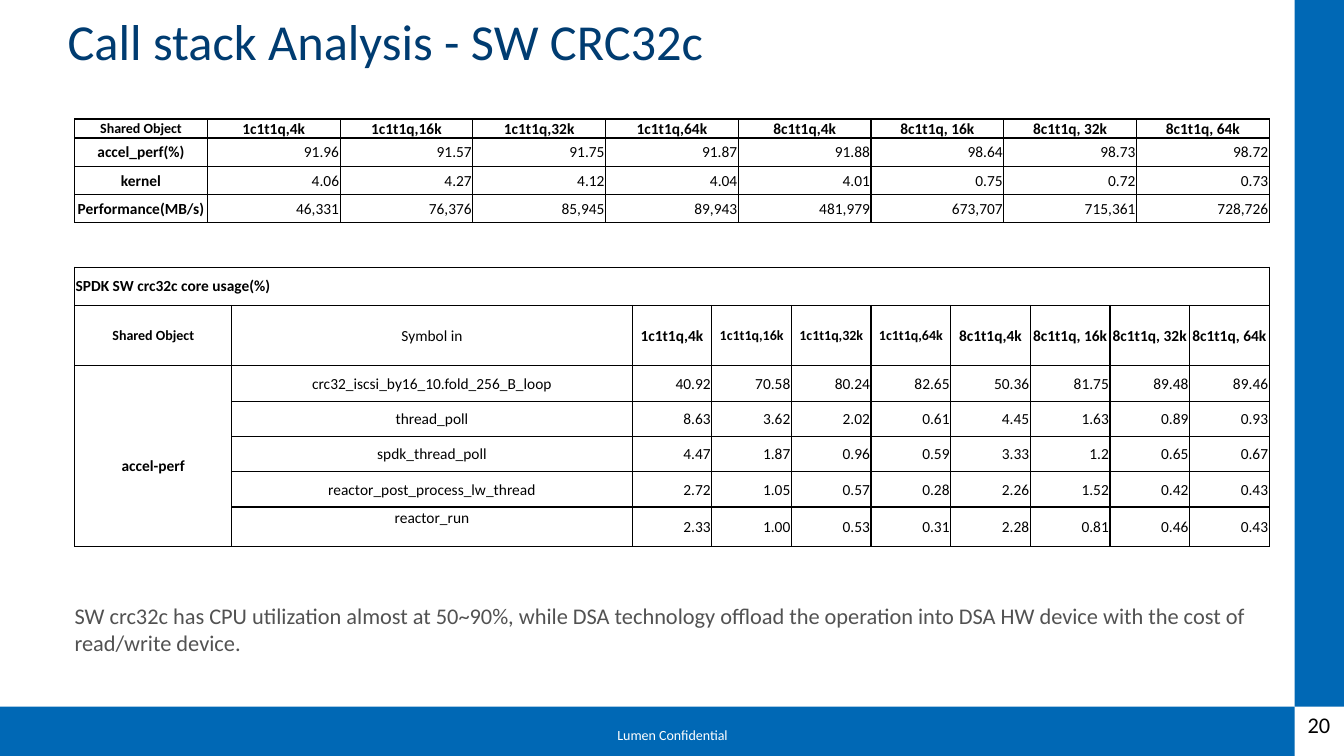
from lxml.etree import SubElement
from pptx import Presentation
from pptx.dml.color import RGBColor
from pptx.enum.shapes import MSO_SHAPE as Shape
from pptx.enum.text import MSO_ANCHOR as Anchor, PP_ALIGN as Align
from pptx.oxml.ns import qn
from pptx.util import Inches, Pt

BLUE = RGBColor(0x00, 0x68, 0xB5)
NAVY = RGBColor(0x00, 0x3C, 0x71)
GREY = RGBColor(0x52, 0x52, 0x52)
BLACK = RGBColor(0x00, 0x00, 0x00)
WHITE = RGBColor(0xFF, 0xFF, 0xFF)

CASES = ["1c1t1q,4k", "1c1t1q,16k", "1c1t1q,32k", "1c1t1q,64k",
         "8c1t1q,4k", "8c1t1q, 16k", "8c1t1q, 32k", "8c1t1q, 64k"]
SUMMARY = [
    ["Shared Object", *CASES],
    ["accel_perf(%)", "91.96", "91.57", "91.75", "91.87", "91.88", "98.64", "98.73", "98.72"],
    ["kernel", "4.06", "4.27", "4.12", "4.04", "4.01", "0.75", "0.72", "0.73"],
    ["Performance(MB/s)", "46,331", "76,376", "85,945", "89,943",
     "481,979", "673,707", "715,361", "728,726"],
]
CORE_USAGE = [
    ["SPDK SW crc32c core usage(%)"] + [""] * 9,
    ["Shared Object", "Symbol in", *CASES],
    ["accel-perf", "crc32_iscsi_by16_10.fold_256_B_loop",
     "40.92", "70.58", "80.24", "82.65", "50.36", "81.75", "89.48", "89.46"],
    ["", "thread_poll", "8.63", "3.62", "2.02", "0.61", "4.45", "1.63", "0.89", "0.93"],
    ["", "spdk_thread_poll", "4.47", "1.87", "0.96", "0.59", "3.33", "1.2", "0.65", "0.67"],
    ["", "reactor_post_process_lw_thread",
     "2.72", "1.05", "0.57", "0.28", "2.26", "1.52", "0.42", "0.43"],
    ["", "reactor_run", "2.33", "1.00", "0.53", "0.31", "2.28", "0.81", "0.46", "0.43"],
]
TABLE_LEFT, TABLE_WIDTH = 0.74, 11.85


class SlideBuilder:
    font = "Calibri"

    def __init__(self, page):
        self.page = page

    def fill_para(self, para, words, size, color, bold=False, align=Align.LEFT, spacing=0.9):
        para.alignment = align
        para.line_spacing = spacing
        span = para.add_run()
        span.text = words
        for name, value in {"name": self.font, "size": Pt(size), "bold": bold}.items():
            setattr(span.font, name, value)
        span.font.color.rgb = color

    def bar(self, left, top, width, height):
        box = self.page.shapes.add_shape(Shape.RECTANGLE, *map(Inches, (left, top, width, height)))
        box.shadow.inherit = False
        box.fill.solid()
        box.fill.fore_color.rgb = BLUE
        box.line.fill.background()

    def text(self, place, words, size, color, inset=(0, 0), wrap=True, **style):
        """Add a text box; inset is the (side, top and bottom) margin."""
        frame = self.page.shapes.add_textbox(*map(Inches, place)).text_frame
        frame.word_wrap = wrap
        side, end = map(Inches, inset)
        for name, value in {"margin_left": side, "margin_right": side,
                            "margin_top": end, "margin_bottom": end}.items():
            setattr(frame, name, value)
        self.fill_para(frame.paragraphs[0], words, size, color, **style)

    def border(self, cell):
        properties = cell._tc.get_or_add_tcPr()
        for side in ("lnL", "lnR", "lnT", "lnB"):
            line = SubElement(properties, qn(f"a:{side}"), w=str(Pt(1)))
            fill = SubElement(line, qn("a:solidFill"))
            SubElement(fill, qn("a:srgbClr"), val=str(BLACK))

    def table(self, top, columns, heights, rows, cell_style):
        """Add a table; cell_style(row, column) gives size, bold and align."""
        place = map(Inches, (TABLE_LEFT, top, TABLE_WIDTH, sum(heights)))
        grid = self.page.shapes.add_table(len(rows), len(columns), *place).table
        grid.first_row = grid.horz_banding = False
        for column, width in zip(grid.columns, columns):
            column.width = Inches(width)
        for row, height in zip(grid.rows, heights):
            row.height = Inches(height)
        for r, row in enumerate(rows):
            for c, words in enumerate(row):
                cell = grid.cell(r, c)
                self.border(cell)
                cell.fill.solid()
                cell.fill.fore_color.rgb = WHITE
                for name, value in {"margin_left": Inches(0.01), "margin_right": Inches(0.01),
                                    "margin_top": Inches(0.01), "margin_bottom": 0,
                                    "vertical_anchor": Anchor.MIDDLE}.items():
                    setattr(cell, name, value)
                if words:
                    self.fill_para(cell.text_frame.paragraphs[0], words, color=BLACK,
                                   **cell_style(r, c))
        return grid


def summary_style(row, column):
    return {"size": 10 if row == column == 0 else 11,
            "bold": row == 0 or column == 0,
            "align": Align.CENTER if row == 0 or column == 0 else Align.RIGHT}


def usage_style(row, column):
    if row == 0:
        align = Align.LEFT
    else:
        align = Align.CENTER if row == 1 or column < 2 else Align.RIGHT
    return {"size": 10 if row == 1 and column in (0, 3, 4, 5) else 11,
            "bold": column == 0 or (row == 1 and column != 1),
            "align": align}


def main():
    deck = Presentation()
    deck.slide_width, deck.slide_height = Inches(13.33), Inches(7.5)
    builder = SlideBuilder(deck.slides.add_slide(deck.slide_layouts[6]))

    builder.bar(0, 7.01, 12.84, 0.49)
    builder.bar(12.84, 0, 0.49, 7.01)
    builder.text((6.02, 7.18, 1.3, 0.25), "Lumen Confidential", 10, WHITE,
                 inset=(0.1, 0.05), wrap=False, align=Align.CENTER)
    builder.text((0.67, 0.17, 12, 0.68), "Call stack Analysis - SW CRC32c", 36, NAVY)
    builder.text((12.87, 7.04, 0.47, 0.46), "20", 16, BLACK, inset=(0.1, 0.05))

    builder.table(1.18, [TABLE_WIDTH / 9] * 9, [0.19] + [0.28] * 3, SUMMARY, summary_style)
    usage = builder.table(2.65, [1.56, 3.97] + [0.79] * 8,
                          [0.38, 0.6] + [0.35] * 4 + [0.39], CORE_USAGE, usage_style)
    usage.cell(0, 0).merge(usage.cell(0, 9))
    usage.cell(2, 0).merge(usage.cell(6, 0))
    usage.cell(2, 0).margin_top = Inches(0.2)
    usage.cell(6, 1).margin_bottom = Inches(0.18)

    builder.text((0.74, 5.97, 11.75, 0.81),
                 "SW crc32c has CPU utilization almost at 50~90%, while DSA technology offload "
                 "the operation into DSA HW device with the cost of read/write device.",
                 16, GREY, spacing=1.0)
    deck.save("out.pptx")


if __name__ == "__main__":
    main()
